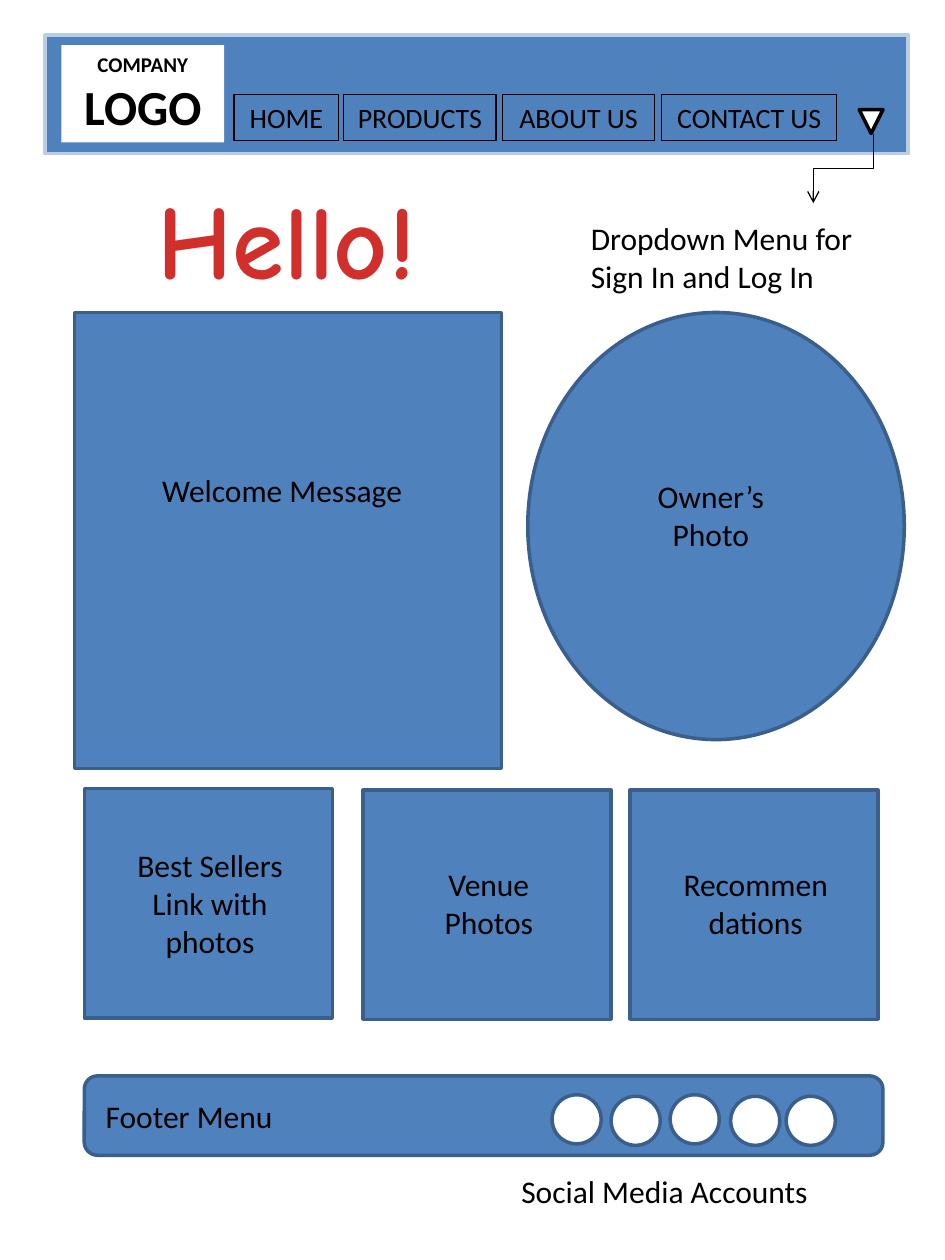
import copy

import pptx
import pptx.dml.color
import pptx.enum.shapes
import pptx.enum.text
import pptx.oxml
import pptx.oxml.ns
import pptx.util

Cm = pptx.util.Cm
Pt = pptx.util.Pt
RGBColor = pptx.dml.color.RGBColor
MSO = pptx.enum.shapes.MSO_SHAPE
ALIGN = pptx.enum.text.PP_ALIGN
ANCHOR = pptx.enum.text.MSO_ANCHOR
qn = pptx.oxml.ns.qn

BLUE = RGBColor(0x4F, 0x81, 0xBD)
NAVY = RGBColor(0x3A, 0x5F, 0x8C)
PALE = RGBColor(0xB9, 0xCD, 0xE5)
BLACK = RGBColor(0, 0, 0)
WHITE = RGBColor(0xFF, 0xFF, 0xFF)
PINK = RGBColor(0xFC, 0x7C, 0x7A)
RED = RGBColor(0xD0, 0x2F, 0x2C)
CRIMSON = RGBColor(0xC7, 0x05, 0x00)


def write(p, text, size=18, font="Calibri", color=BLACK, bold=False, align=ALIGN.LEFT):
    p.alignment = align
    r = p.add_run()
    r.text = text
    r.font.size = Pt(size)
    r.font.name = font
    r.font.bold = bold
    r.font.color.rgb = color
    return r


class Page:
    def __init__(self, s, font="Calibri", fill=BLUE, line=NAVY, weight=2):
        self.s = s
        self.font = font
        self.fill = fill
        self.line = line
        self.weight = weight

    def shape(self, kind, x, y, w, h, fill=None, line=None):
        sp = self.s.shapes.add_shape(kind, Cm(x), Cm(y), Cm(w), Cm(h))
        sp.shadow.inherit = False
        sp.fill.solid()
        sp.fill.fore_color.rgb = fill or self.fill
        sp.line.color.rgb = line or self.line
        sp.line.width = Pt(self.weight)
        return sp

    def text(self, x, y, w, h, *lines, sizes=(18,), bold=False, align=ALIGN.LEFT):
        sp = self.s.shapes.add_textbox(Cm(x), Cm(y), Cm(w), Cm(h))
        tf = sp.text_frame
        tf.word_wrap = True
        for i, line in enumerate(lines):
            p = tf.add_paragraph() if i else tf.paragraphs[0]
            write(p, line, size=sizes[i % len(sizes)], font=self.font, bold=bold, align=align)
        return sp

    def title(self, x, y, w, h, text):
        sp = self.s.shapes.title
        sp.left, sp.top, sp.width, sp.height = Cm(x), Cm(y), Cm(w), Cm(h)
        tf = sp.text_frame
        tf.word_wrap = True
        tf.auto_size = pptx.enum.text.MSO_AUTO_SIZE.NONE
        tf.vertical_anchor = ANCHOR.TOP
        r = write(tf.paragraphs[0], text, size=60, font="Comic Neue", bold=True, align=ALIGN.CENTER)
        fill = r.font.fill
        fill.gradient()
        fill.gradient_angle = 270
        stops = r.font._element.find(".//" + qn("a:gsLst"))
        stops.append(copy.deepcopy(stops[1]))
        for stop, place, color in zip(fill.gradient_stops, (0, 0.75, 1), (PINK, RED, CRIMSON)):
            stop.position = place
            stop.color.rgb = color

    def elbow_arrow(self, x1, y1, x2, y2, turn):
        kind = pptx.enum.shapes.MSO_CONNECTOR.ELBOW
        c = self.s.shapes.add_connector(kind, Cm(x1), Cm(y1), Cm(x2), Cm(y2))
        c.line.color.rgb = BLACK
        c.line.width = Pt(0.75)
        spPr = c._element.spPr
        spPr.find(qn("a:xfrm")).set("rot", str(turn * 60000))
        tail = pptx.oxml.parse_xml(
            f'<a:tailEnd {pptx.oxml.ns.nsdecls("a")} type="arrow"/>')
        spPr.find(qn("a:ln")).append(tail)
        spPr.append(pptx.oxml.parse_xml(f'<a:effectLst {pptx.oxml.ns.nsdecls("a")}/>'))


def main():
    prs = pptx.Presentation()
    prs.slide_width, prs.slide_height = Cm(19.05), Cm(25.4)
    page = Page(prs.slides.add_slide(prs.slide_layouts[5]))

    page.shape(MSO.RECTANGLE, 0.91, 0.71, 17.4, 2.39, line=PALE)
    logo = page.text(1.24, 0.91, 3.28, 1.96, "COMPANY", "LOGO",
                     sizes=(12, 28), bold=True, align=ALIGN.CENTER)
    logo.fill.solid()
    logo.fill.fore_color.rgb = WHITE

    nav = (("HOME", 4.72, 2.11), ("PRODUCTS", 6.93, 3.07),
           ("ABOUT US", 10.13, 3.07), ("CONTACT US", 13.34, 3.53))
    for label, x, w in nav:
        sp = page.text(x, 1.9, w, 0.94, label, sizes=(16,), align=ALIGN.CENTER)
        sp.line.color.rgb = BLACK
        sp.line.width = Pt(0.75)

    page.shape(MSO.ISOSCELES_TRIANGLE, 17.32, 2.21, 0.48, 0.48, WHITE, BLACK).rotation = 180
    page.elbow_arrow(16.31, 2.79, 17.7, 4.01, 90)
    page.text(11.66, 4.29, 6.58, 1.8, "Dropdown Menu for Sign In and Log In")

    page.title(2.72, 3.4, 6.12, 2.82, "Hello!")
    page.shape(MSO.RECTANGLE, 1.5, 6.3, 8.61, 9.19)
    page.text(3.02, 9.37, 5.41, 1.02, "Welcome Message")
    page.shape(MSO.OVAL, 10.64, 6.3, 7.59, 8.61)
    page.text(12.73, 9.5, 3.2, 1.8, "Owner’s Photo", align=ALIGN.CENTER)

    cards = ((1.7, 15.9, 16.94, 2.57, ("Best Sellers", "Link with photos")),
             (7.32, 15.93, 17.32, 1.8, ("Venue Photos",)),
             (12.7, 15.93, 17.32, 1.8, ("Recommendations",)))
    for x, y, text_y, text_h, lines in cards:
        page.shape(MSO.RECTANGLE, x, y, 5, 4.62)
        page.text(x + 0.72, text_y, 3.63, text_h, *lines, align=ALIGN.CENTER)

    page.shape(MSO.ROUNDED_RECTANGLE, 1.7, 21.69, 16.1, 1.6)
    page.text(1.88, 22, 4.19, 1.02, "Footer Menu")
    page.text(10.26, 23.5, 7.57, 1.02, "Social Media Accounts")
    for x, y in ((11.13, 22.07), (12.32, 22.1), (13.51, 22.07), (14.73, 22.1), (15.85, 22.1)):
        page.shape(MSO.OVAL, x, y, 0.99, 0.99, WHITE)

    prs.save("out.pptx")


if __name__ == "__main__":
    main()
